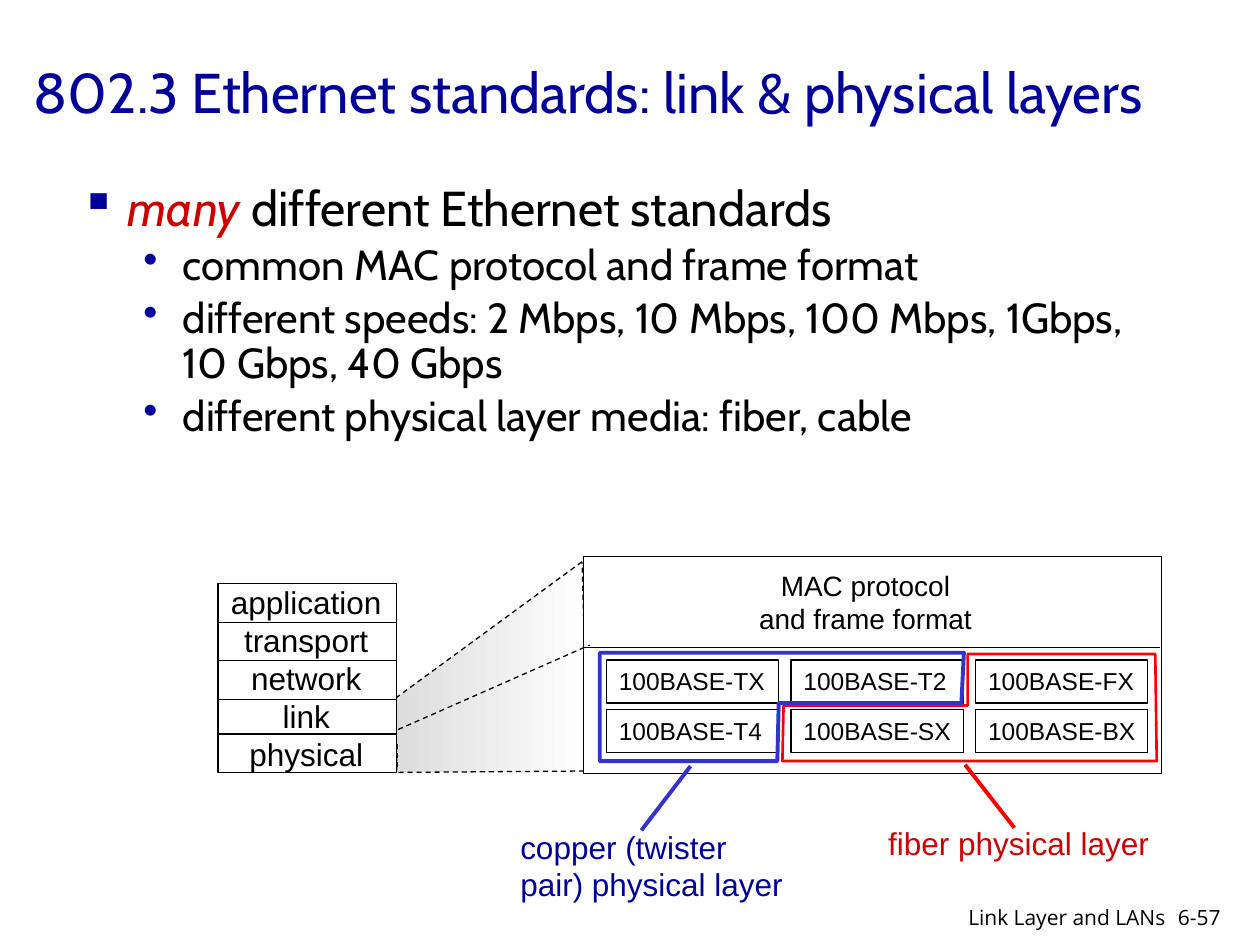
from lxml import etree
from pptx import Presentation
from pptx import util as u
from pptx.dml.color import RGBColor
from pptx.enum import dml, shapes, text
from pptx.oxml.ns import qn

COLORS = {"navy": "000099", "red": "CC0000", "black": "000000", "white": "FFFFFF",
          "gray": "DDDDDD", "fiber": "FF0000", "copper": "3333CC"}
HEADING, DIAGRAM, FOOTER = "Cabin", "Arial", "Open Sans"
LEFT, CENTER, RIGHT = text.PP_ALIGN.LEFT, text.PP_ALIGN.CENTER, text.PP_ALIGN.RIGHT
BULLETS = {0: {"char": "▪", "margin": 27, "hanging": -27, "size": 28},
           1: {"char": "•", "margin": 58.5, "hanging": -22.5, "size": 24}}


def rgb(name):
    """Return the named colour."""
    return RGBColor.from_string(COLORS[name])


def assign(target, values):
    """Set each named attribute on the target."""
    for name, value in values.items():
        setattr(target, name, value)


class Sketch:
    """Draws styled elements on one slide, with lengths in points."""

    def __init__(self, slide):
        """Keep the slide to draw on."""
        self.slide = slide

    def add_words(self, paragraph, words, size, font, color, italic=False):
        """Add one styled run."""
        phrase = paragraph.add_run()
        phrase.text = words
        assign(phrase.font, {"size": u.Pt(size), "name": font, "italic": italic})
        phrase.font.color.rgb = rgb(color)

    def fill_frame(self, frame, lines, size, font, color, align=LEFT, wrap=False,
                   anchor=text.MSO_ANCHOR.TOP):
        """Fill a text frame with one paragraph for each line."""
        assign(frame, {"word_wrap": wrap, "vertical_anchor": anchor})
        for number, line in enumerate(lines):
            paragraph = frame.add_paragraph() if number else frame.paragraphs[0]
            paragraph.alignment = align
            self.add_words(paragraph, line, size, font, color)

    def label(self, box, lines, size, font, color, **layout):
        """Add a text box."""
        frame = self.slide.shapes.add_textbox(*map(u.Pt, box)).text_frame
        self.fill_frame(frame, lines, size, font, color, **layout)

    def bullets(self, box, items):
        """Add a bulleted list of (level, phrases) items."""
        frame = self.slide.shapes.add_textbox(*map(u.Pt, box)).text_frame
        frame.word_wrap = True
        for number, (level, phrases) in enumerate(items):
            paragraph = frame.add_paragraph() if number else frame.paragraphs[0]
            bullet = BULLETS[level]
            assign(paragraph, {"level": level, "line_spacing": 0.9,
                               "space_before": u.Pt(0.18 * bullet["size"])})
            props = paragraph._p.get_or_add_pPr()
            props.set("marL", str(u.Pt(bullet["margin"])))
            props.set("indent", str(u.Pt(bullet["hanging"])))
            tint = etree.SubElement(props, qn("a:buClr"))
            etree.SubElement(tint, qn("a:srgbClr"), val=COLORS["navy"])
            etree.SubElement(props, qn("a:buChar"), char=bullet["char"])
            for words, color, italic in phrases:
                self.add_words(paragraph, words, bullet["size"], HEADING, color, italic)

    def stroke(self, line, color="black", width=0.75, dashed=False):
        """Style a line or an outline."""
        line.color.rgb = rgb(color)
        line.width = u.Pt(width)
        if dashed:
            line.dash_style = dml.MSO_LINE.DASH

    def rect(self, box, fill=None):
        """Add a thin black rectangle, filled or clear."""
        shape = self.slide.shapes.add_shape(shapes.MSO_SHAPE.RECTANGLE, *map(u.Pt, box))
        shape.shadow.inherit = False
        if fill:
            shape.fill.solid()
            shape.fill.fore_color.rgb = rgb(fill)
        else:
            shape.fill.background()
        self.stroke(shape.line)
        return shape

    def line(self, start, end, **style):
        """Add a straight line."""
        connector = self.slide.shapes.add_connector(
            shapes.MSO_CONNECTOR.STRAIGHT, *map(u.Pt, start + end))
        self.stroke(connector.line, **style)
        etree.SubElement(connector._element.spPr, qn("a:effectLst"))

    def outline(self, points, gradient=None, **style):
        """Add a closed outline, clear or with a left-to-right gradient."""
        corners = [(u.Pt(x), u.Pt(y)) for x, y in points]
        builder = self.slide.shapes.build_freeform(*corners[0])
        builder.add_line_segments(corners[1:], close=True)
        shape = builder.convert_to_shape()
        shape.shadow.inherit = False
        if gradient:
            shape.fill.gradient()
            shape.fill.gradient_angle = 0
            for stop, color in zip(shape.fill.gradient_stops, gradient):
                stop.color.rgb = rgb(color)
        else:
            shape.fill.background()
        self.stroke(shape.line, **style)


def draw_stack(sketch):
    """Draw the protocol stack and the wedge that widens its lower layers."""
    sketch.outline([(332.6, 321), (226, 399), (226.8, 441.4), (336.2, 440.6)],
                   gradient=("gray", "white"), dashed=True)
    left, right = 124.6, 226.8
    sketch.rect((left, 333.4, right - left, 108), "white")
    sketch.label((left, 329.8, 100.8, 115.2),
                 ["application", "transport", "network", "link", "physical"],
                 18, DIAGRAM, "black", align=CENTER)
    for y in (355.7, 377.3, 399.6, 419.4):
        sketch.line((left, y), (right, y))
    for x in (left, right):
        sketch.line((x, 425), (x, 438.5), dashed=True)


def draw_layers(sketch):
    """Draw the MAC layer above the grid of physical layer standards."""
    sketch.rect((333.4, 318.2, 330.5, 123.8), "white")
    sketch.line((334, 370.1), (663.1, 370.1))
    sketch.label((426.2, 321.1, 136.8, 46.1), ["MAC protocol", "and frame format"],
                 16, DIAGRAM, "black", align=CENTER)
    sketch.line((227.5, 416.9), (337, 368.6), dashed=True)
    grid = (("TX", "T2", "FX"), ("T4", "SX", "BX"))
    for row, names in enumerate(grid):
        for column, name in enumerate(names):
            chip = sketch.rect((346.5 + 105.5 * column, 377.2 + 28.4 * row, 98.4, 24.5))
            sketch.fill_frame(chip.text_frame, ["100BASE-" + name], 14, DIAGRAM, "black")


def draw_media(sketch):
    """Outline and name the fiber and copper groups."""
    fiber = {"color": "fiber", "width": 2.25}
    sketch.outline([(553, 373.7), (553, 403.2), (447.8, 403.2), (447.1, 434.9),
                    (661, 434.9), (660.2, 373.7)], color="fiber", width=1.5)
    sketch.line((551.5, 437), (579.6, 473), **fiber)
    sketch.label((500.4, 467.3, 164.9, 28.8), ["fiber physical layer"],
                 18, DIAGRAM, "red")
    copper = {"color": "copper", "width": 2.25}
    sketch.outline([(550.8, 373), (549.4, 401.8), (445, 401.8), (444.2, 434.9),
                    (342.7, 434.9), (342.7, 373)], **copper)
    sketch.line((394.6, 437.8), (366.5, 474.5), **copper)
    sketch.label((290.2, 469.4, 166.3, 51.1), ["copper (twister", "pair) physical layer"],
                 18, DIAGRAM, "navy")


def main():
    """Build and save the slide."""
    deck = Presentation()
    assign(deck, {"slide_width": u.Pt(720), "slide_height": u.Pt(540)})
    sketch = Sketch(deck.slides.add_slide(deck.slide_layouts[6]))
    sketch.label((12.2, 7.2, 686.2, 90), ["802.3 Ethernet standards: link & physical layers"],
                 32, HEADING, "navy", wrap=True, anchor=text.MSO_ANCHOR.MIDDLE)
    details = ("common MAC protocol and frame format",
               "different speeds: 2 Mbps, 10 Mbps, 100 Mbps, 1Gbps, 10 Gbps, 40 Gbps",
               "different physical layer media: fiber, cable")
    sketch.bullets((38.9, 101.5, 612, 165.6),
                   [(0, [("many ", "red", True),
                         ("different Ethernet standards", "black", False)])]
                   + [(1, [(detail, "black", False)]) for detail in details])
    draw_stack(sketch)
    draw_layers(sketch)
    draw_media(sketch)
    sketch.label((666, 513.4, 43.2, 21.6), ["6-57"], 12, FOOTER, "black", wrap=True)
    sketch.label((501.8, 513.4, 171.4, 18.7), ["Link Layer and LANs"], 12, FOOTER,
                 "black", align=RIGHT, wrap=True)
    deck.save("out.pptx")


main()
